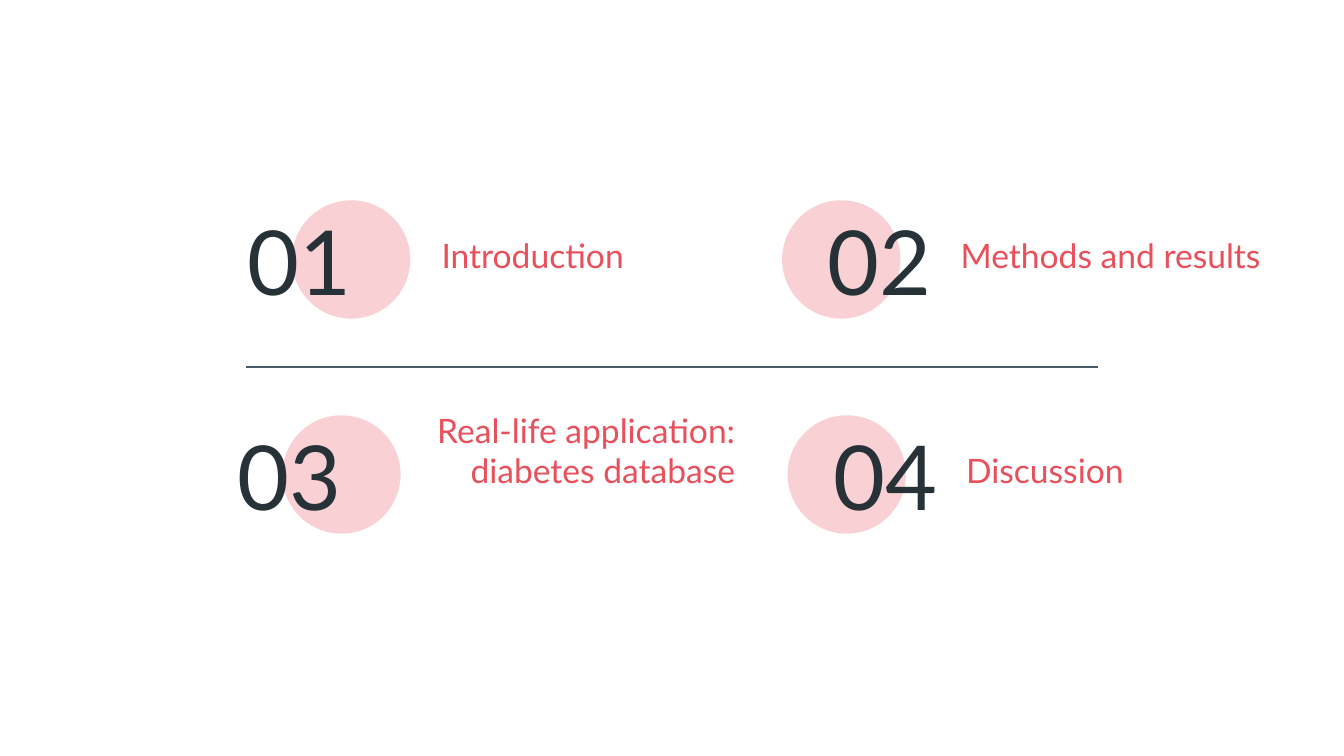
from dataclasses import dataclass

from lxml.etree import SubElement
from pptx import Presentation
from pptx.dml.color import RGBColor
from pptx.enum.shapes import MSO_CONNECTOR, MSO_SHAPE
from pptx.enum.text import MSO_ANCHOR, PP_ALIGN
from pptx.oxml.ns import qn
from pptx.util import Pt


@dataclass(frozen=True)
class Theme:
    font: str = "Lato"
    accent: str = "E8505B"
    dark: str = "263238"
    rule: str = "455A64"
    number_size: float = 48
    label_size: float = 18
    circle_opacity: int = 26


class Agenda:
    def __init__(self, slide, theme):
        self.s = slide
        self.theme = theme

    def circle(self, x, y, d):
        sp = self.s.shapes.add_shape(MSO_SHAPE.OVAL, Pt(x), Pt(y), Pt(d), Pt(d))
        sp.shadow.inherit = False
        sp.line.fill.background()
        sp.fill.solid()
        sp.fill.fore_color.rgb = RGBColor.from_string(self.theme.accent)
        color = sp.fill._xPr.find(qn("a:solidFill"))[0]
        SubElement(color, qn("a:alpha"), val=str(self.theme.circle_opacity * 1000))

    def text(self, text, x, y, w, h, size, color, align, anchor):
        sp = self.s.shapes.add_textbox(Pt(x), Pt(y), Pt(w), Pt(h))
        tf = sp.text_frame
        tf.word_wrap = True
        tf.vertical_anchor = anchor
        tf.margin_left = tf.margin_top = tf.margin_right = tf.margin_bottom = Pt(7.2)
        p = tf.paragraphs[0]
        p.alignment = align
        r = p.add_run()
        r.text = text
        r.font.name = self.theme.font
        r.font.size = Pt(size)
        r.font.color.rgb = RGBColor.from_string(color)

    def number(self, text, x, y, align):
        self.text(text, x, y, 94.3, 59, self.theme.number_size,
                  self.theme.dark, align, MSO_ANCHOR.MIDDLE)

    def label(self, text, x, y, w, align):
        self.text(text, x, y, w, 31.7, self.theme.label_size,
                  self.theme.accent, align, MSO_ANCHOR.BOTTOM)

    def rule(self, x1, x2, y):
        line = self.s.shapes.add_connector(
            MSO_CONNECTOR.STRAIGHT, Pt(x1), Pt(y), Pt(x2), Pt(y))
        line.line.color.rgb = RGBColor.from_string(self.theme.rule)
        line.line.width = Pt(0.75)
        SubElement(line._element.spPr, qn("a:effectLst"))


LEFT, RIGHT = PP_ALIGN.LEFT, PP_ALIGN.RIGHT
TOP, ROW_STEP = 107.3, 115.2

# Per column: number offset from the circle, number alignment, label alignment
COLUMNS = [(-31, LEFT, RIGHT), (-7.2, RIGHT, LEFT)]

# Label, circle left, label left, label width
TOPICS = [
    ("Introduction", 156.4, 176.4, 164.9),
    ("Methods and results", 419, 507.6, 206.6),
    ("Real-life application: diabetes database", 151.2, 192.2, 208.8),
    ("Discussion", 421.9, 510.5, 164.9),
]


def main():
    prs = Presentation()
    prs.slide_width, prs.slide_height = Pt(720), Pt(405)
    agenda = Agenda(prs.slides.add_slide(prs.slide_layouts[6]), Theme())

    for i, (topic, circle_x, label_x, label_w) in enumerate(TOPICS):
        row, col = divmod(i, len(COLUMNS))
        offset, number_align, label_align = COLUMNS[col]
        y = TOP + row * ROW_STEP
        agenda.circle(circle_x, y, 63.4)
        agenda.number(f"{i + 1:02}", circle_x + offset, y + 2.2, number_align)
        agenda.label(topic, label_x, y + 15.8, label_w, label_align)
    agenda.rule(131.8, 588.2, 196.6)

    prs.save("out.pptx")


if __name__ == "__main__":
    main()
